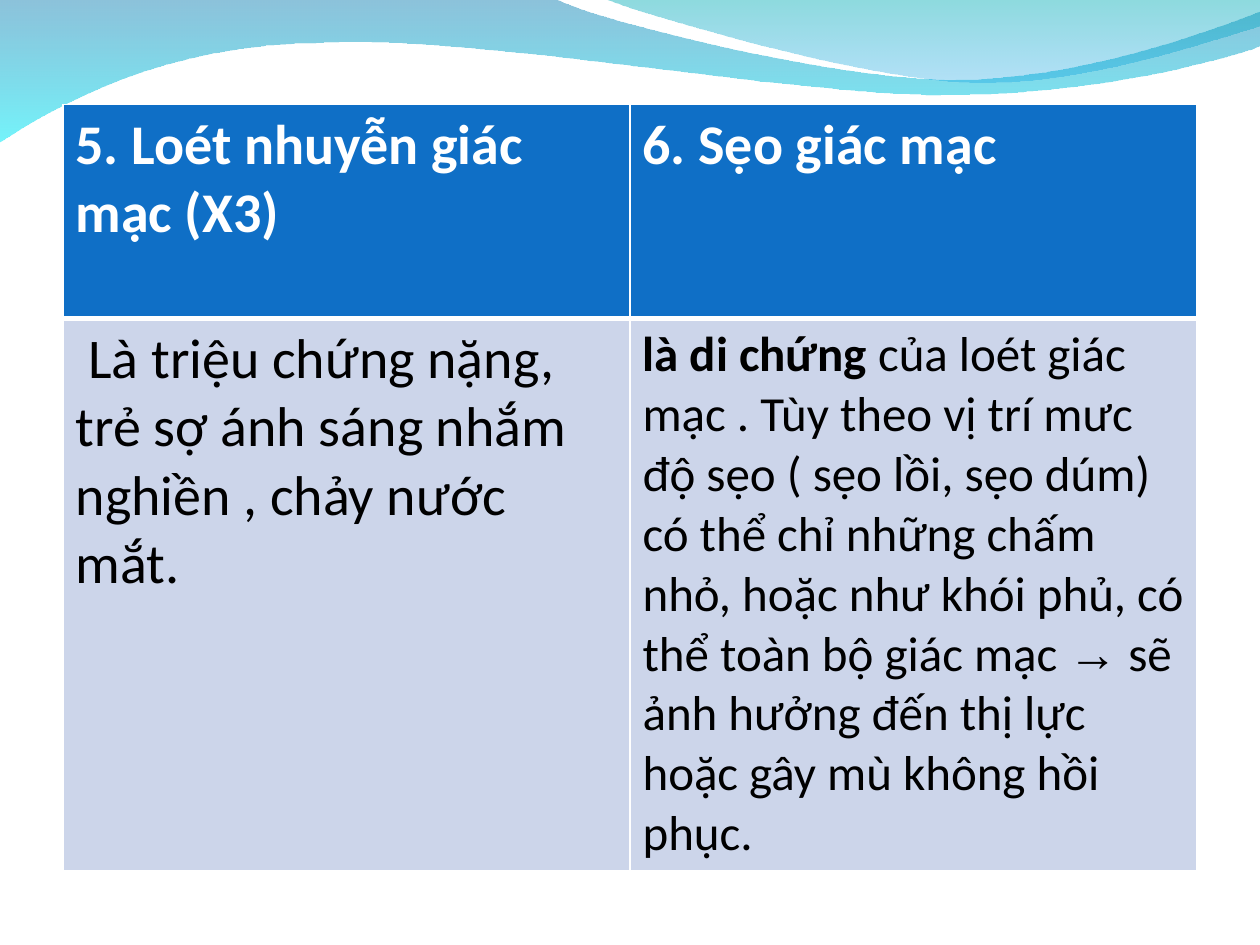
"""Build a slide with two waves above a table comparing two corneal conditions."""
import pptx
import pptx.util
import pptx.dml.color
import pptx.oxml.ns
from lxml import etree

Inches, Pt = pptx.util.Inches, pptx.util.Pt
RGBColor = pptx.dml.color.RGBColor
qn = pptx.oxml.ns.qn

WHITE = RGBColor(0xFF, 0xFF, 0xFF)
BLACK = RGBColor(0, 0, 0)
HEADER = RGBColor(0x0F, 0x6F, 0xC6)
BODY = RGBColor(0xCC, 0xD5, 0xEA)
DEEP_BLUE = RGBColor(0x00, 0x79, 0xAF)
CYAN = RGBColor(0x00, 0xEB, 0xF8)
TEAL = RGBColor(0x00, 0xAD, 0xB6)
SKY = RGBColor(0x00, 0x9B, 0xE5)

WAVES = [
    {"stops": [(DEEP_BLUE, 45), (CYAN, 55)],
     "outline": [[(0, -0.01)],
                 [(4.4, -0.01)],
                 [(4.76, 0.17), (6.64, 0.63), (7.58, 0.63)],
                 [(8.53, 0.63), (9.58, 0.26), (10, 0.09)],
                 [(10.01, 0.36)],
                 [(9.83, 0.44), (8.7, 0.76), (7.46, 0.75)],
                 [(6.22, 0.75), (3.82, 0.28), (2.57, 0.34)],
                 [(1.29, 0.35), (0.46, 0.83), (-0.01, 1.13)]]},
    {"stops": [(TEAL, 45), (SKY, 30)],
     "outline": [[(4.79, -0.01)],
                 [(5.09, 0.11), (6.82, 0.62), (7.69, 0.65)],
                 [(8.56, 0.69), (9.61, 0.32), (10, 0.21)],
                 [(10, 0)]]},
]

ROWS = [
    {"height": 1.7, "fill": HEADER, "color": WHITE, "bold": True,
     "cells": [(32, [("5. Loét nhuyễn giác mạc (X3)", {})]),
               (32, [("6. Sẹo giác mạc", {})])]},
    {"height": 4.31, "fill": BODY, "color": BLACK, "bold": False,
     "cells": [(32, [(" Là triệu chứng nặng, trẻ sợ ánh sáng nhắm nghiền , chảy nước mắt.", {})]),
               (28, [("là di chứng ", {"bold": True}),
                     ("của loét giác mạc . Tùy theo vị trí mưc độ sẹo ( sẹo lồi, sẹo dúm) "
                      "có thể chỉ những chấm nhỏ, hoặc như khói phủ, có thể toàn bộ giác mạc ", {}),
                     ("→", {"name": "Arial"}),
                     (" sẽ ảnh hưởng đến thị lực hoặc gây mù không hồi phục.", {})])]},
]
COLUMN_WIDTH = 4.5
THIN, THICK = 1, 3


def bend(sp, outline):
    """Join each three-point segment of a freeform into one cubic curve."""
    lines = iter(list(sp._element.iter(qn("a:lnTo"))))
    for segment in outline[1:]:
        first, *others = [next(lines) for _ in segment]
        if others:
            first.tag = qn("a:cubicBezTo")
            for line in others:
                first.append(line[0])
                line.getparent().remove(line)


def add_wave(s, outline, stops):
    """Draw one translucent wave with a top-to-bottom gradient."""
    points = [(Inches(x), Inches(y)) for segment in outline for x, y in segment]
    builder = s.shapes.build_freeform(*points[0])
    builder.add_line_segments(points[1:], close=True)
    sp = builder.convert_to_shape()
    bend(sp, outline)
    sp.shadow.inherit = False
    sp.line.fill.background()
    sp.fill.gradient()
    sp.fill.gradient_angle = 270
    for stop, position, (color, _) in zip(sp.fill.gradient_stops, (0, 1), stops):
        stop.position = position
        stop.color.rgb = color
    for clr, (_, opacity) in zip(sp._element.iter(qn("a:srgbClr")), stops):
        etree.SubElement(clr, qn("a:alpha"), val=str(opacity * 1000))


def set_borders(cell, widths):
    """Give a cell white borders of the given widths."""
    tcPr = cell._tc.get_or_add_tcPr()
    for i, (side, width) in enumerate(widths.items()):
        ln = etree.Element(qn("a:ln" + side), w=str(Pt(width)))
        fill = etree.SubElement(ln, qn("a:solidFill"))
        etree.SubElement(fill, qn("a:srgbClr"), val=str(WHITE))
        tcPr.insert(i, ln)


def fill_cell(cell, row, size, runs):
    """Write the runs of one cell and set its colours."""
    cell.fill.solid()
    cell.fill.fore_color.rgb = row["fill"]
    p = cell.text_frame.paragraphs[0]
    for text, changes in runs:
        r = p.add_run()
        r.text = text
        r.font.size = Pt(size)
        r.font.name = changes.get("name", "Calibri")
        r.font.bold = changes.get("bold", row["bold"])
        r.font.color.rgb = row["color"]


def add_comparison(s):
    """Add the two-column table."""
    columns = len(ROWS[0]["cells"])
    table = s.shapes.add_table(
        len(ROWS), columns, Inches(0.5), Inches(0.83),
        Inches(COLUMN_WIDTH * columns), Inches(sum(row["height"] for row in ROWS))).table
    for column in table.columns:
        column.width = Inches(COLUMN_WIDTH)
    for i, row in enumerate(ROWS):
        table.rows[i].height = Inches(row["height"])
        widths = {"L": THIN, "R": THIN,
                  "T": THICK if i else THIN, "B": THIN if i else THICK}
        for j, (size, runs) in enumerate(row["cells"]):
            cell = table.cell(i, j)
            fill_cell(cell, row, size, runs)
            set_borders(cell, widths)


def main():
    prs = pptx.Presentation()
    prs.slide_width, prs.slide_height = Inches(10), Inches(7.5)
    s = prs.slides.add_slide(prs.slide_layouts[6])
    for wave in WAVES:
        add_wave(s, **wave)
    add_comparison(s)
    prs.save("out.pptx")


if __name__ == "__main__":
    main()
